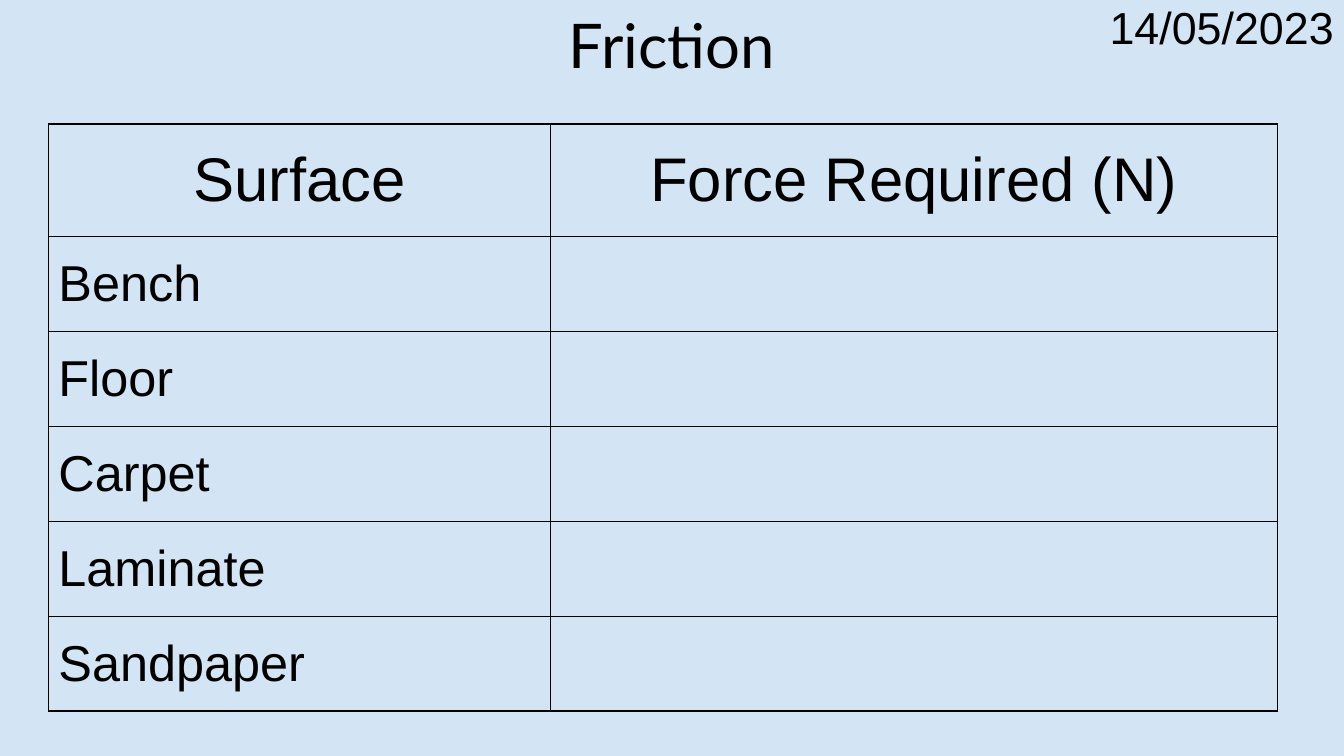
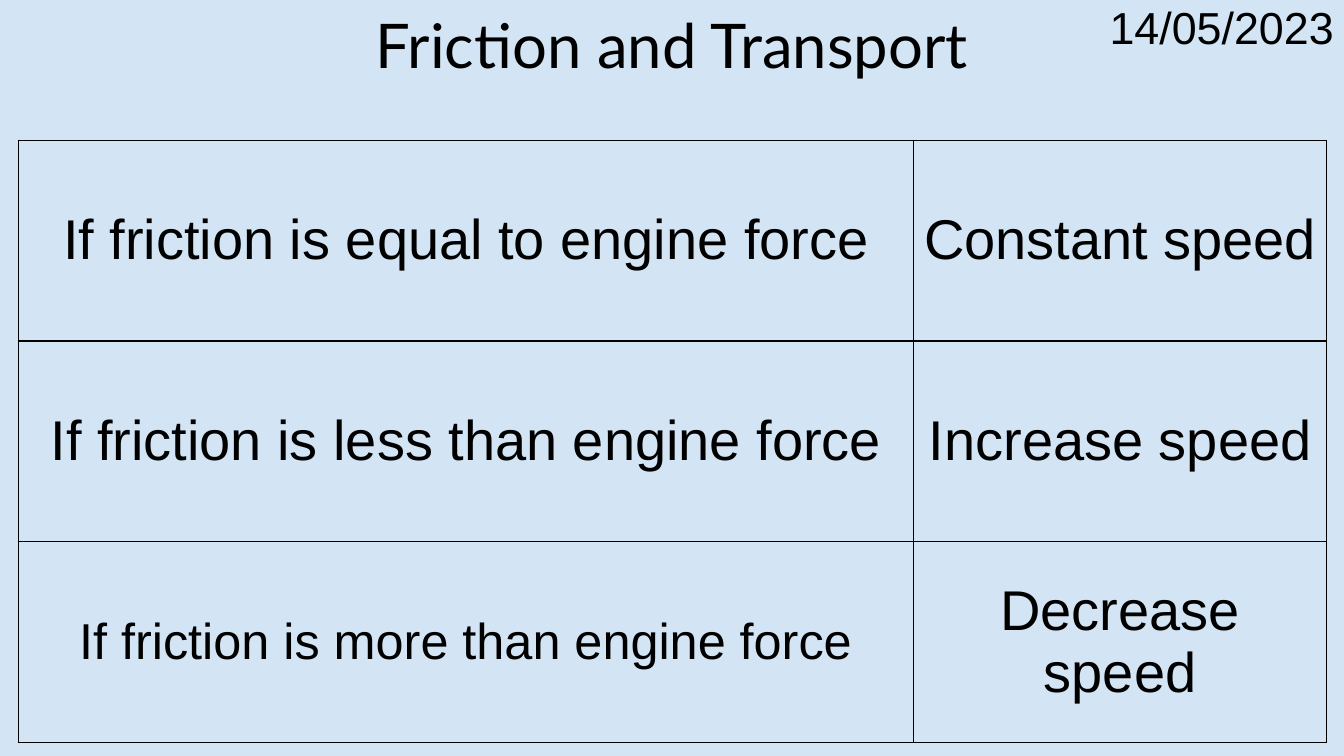
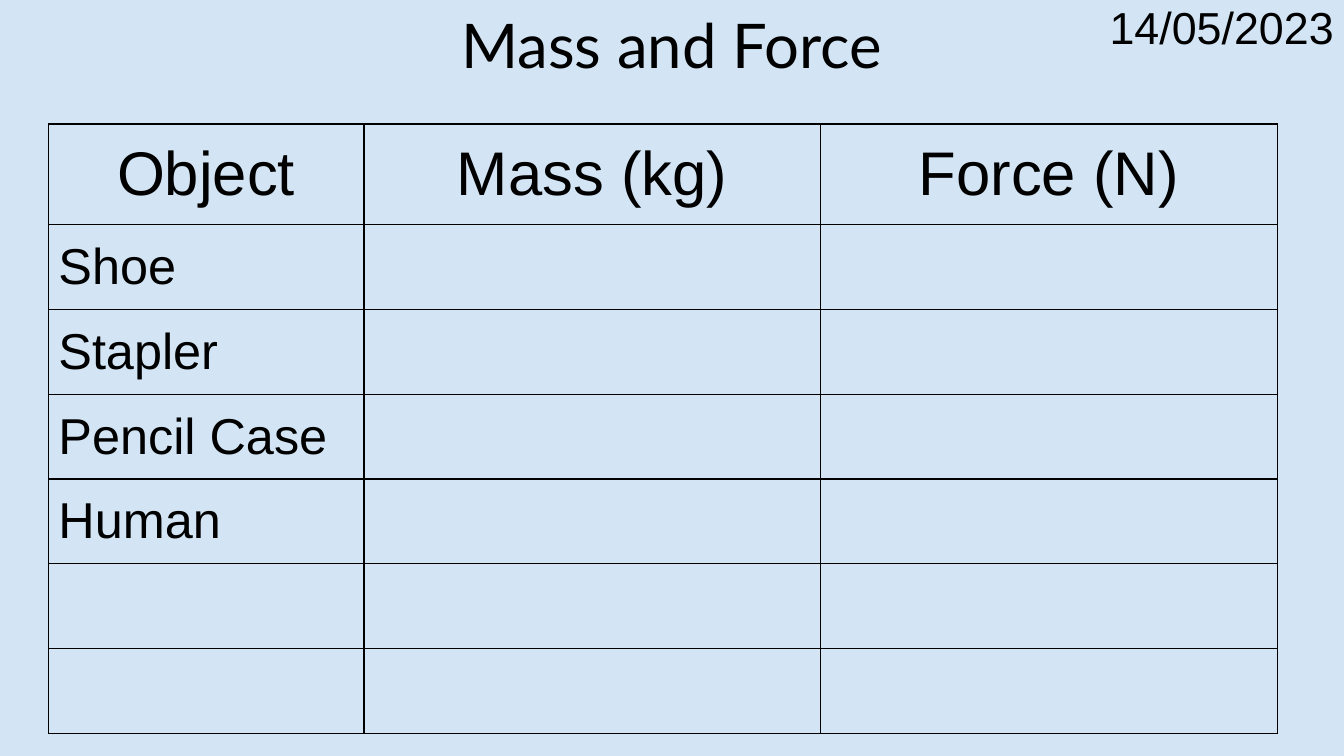
from dataclasses import dataclass

import pptx
import pptx.dml.color
import pptx.enum.text
import pptx.oxml
import pptx.oxml.ns
import pptx.presentation
import pptx.slide
import pptx.table
import pptx.util

Pt = pptx.util.Pt
Align = pptx.enum.text.PP_ALIGN
Anchor = pptx.enum.text.MSO_ANCHOR
AutoSize = pptx.enum.text.MSO_AUTO_SIZE


@dataclass(frozen=True)
class Theme:
    background: str = "D3E5F4"
    ink: str = "000000"
    title_font: str = "Lato"
    body_font: str = "Arial"
    title_size: float = 44
    date_size: float = 32
    heading_size: float = 44
    statement_size: float = 40
    entry_size: float = 36
    thin_line: float = 1
    thick_line: float = 2


THEME = Theme()
SLIDE_WIDTH, SLIDE_HEIGHT = 960, 540
LESSON_DATE = "14/05/2023"


@dataclass(frozen=True)
class Entry:
    text: str = ""
    size: float = THEME.entry_size
    align: Align = Align.LEFT


@dataclass(frozen=True)
class Lesson:
    title: str
    left: float
    top: float
    columns: tuple[float, ...]
    row_heights: tuple[float, ...]
    rows: tuple[tuple[Entry, ...], ...]
    thick_rule_after: int | None = None


def heading(text: str) -> Entry:
    return Entry(text, THEME.heading_size, Align.CENTER)


def statement(text: str, size: float = THEME.statement_size) -> Entry:
    return Entry(text, size, Align.CENTER)


def worksheet(title: str, headings: tuple[str, ...], labels: tuple[str, ...],
              columns: tuple[float, ...], heading_height: float, label_height: float) -> Lesson:
    blanks = (Entry(),) * (len(headings) - 1)
    return Lesson(
        title, 34.56, 88.56, columns,
        (heading_height,) + (label_height,) * len(labels),
        (tuple(map(heading, headings)),) + tuple((Entry(label),) + blanks for label in labels),
    )


LESSONS = (
    worksheet("Friction", ("Surface", "Force Required (N)"),
              ("Bench", "Floor", "Carpet", "Laminate", "Sandpaper"),
              (358.9, 518.9), 80.64, 67.75),
    Lesson(
        "Friction and Transport", 12.96, 100.08, (639.5, 295.2), (143.5,) * 3,
        (
            (statement("If friction is equal to engine force"), statement("Constant speed")),
            (statement("If friction is less than engine force"), statement("Increase speed")),
            (statement("If friction is more than engine force", THEME.entry_size),
             statement("Decrease speed")),
        ),
        thick_rule_after=0,
    ),
    worksheet("Mass and Force", ("Object", "Mass (kg)", "Force (N)"),
              ("Shoe", "Stapler", "Pencil Case", "Human", "", ""),
              (225.4, 326.2, 326.2), 72, 60.55),
)


def style_text(frame: pptx.text.text.TextFrame, text: str, font_name: str,
               size: float, align: Align) -> None:
    frame.text = text
    paragraph = frame.paragraphs[0]
    paragraph.alignment = align
    paragraph.font.name = font_name
    paragraph.font.size = Pt(size)
    paragraph.font.color.rgb = pptx.dml.color.RGBColor.from_string(THEME.ink)


def draw_title(slide: pptx.slide.Slide, text: str) -> None:
    title = slide.shapes.title
    title.left, title.top, title.width, title.height = Pt(0), Pt(0.7), Pt(SLIDE_WIDTH), Pt(68.4)
    style_text(title.text_frame, text, THEME.title_font, THEME.title_size, Align.CENTER)
    title.text_frame.auto_size = AutoSize.NONE
    title.text_frame.vertical_anchor = Anchor.MIDDLE
    title.text_frame.paragraphs[0].line_spacing = 0.9


def draw_date(slide: pptx.slide.Slide) -> None:
    date = slide.shapes.add_textbox(Pt(712.5), Pt(-3.6), Pt(247.5), Pt(46))
    date.text_frame.word_wrap = True
    style_text(date.text_frame, LESSON_DATE, THEME.body_font, THEME.date_size, Align.RIGHT)


def set_borders(cell: pptx.table._Cell, top: float, bottom: float) -> None:
    properties = cell._tc.get_or_add_tcPr()
    widths = {"L": THEME.thin_line, "R": THEME.thin_line, "T": top, "B": bottom}
    for side, width in widths.items():
        properties.append(pptx.oxml.parse_xml(
            f'<a:ln{side} {pptx.oxml.ns.nsdecls("a")} w="{Pt(width)}">'
            f'<a:solidFill><a:srgbClr val="{THEME.ink}"/></a:solidFill></a:ln{side}>'
        ))


def rule_width(lesson: Lesson, row_above: int) -> float:
    return THEME.thick_line if row_above == lesson.thick_rule_after else THEME.thin_line


def draw_table(slide: pptx.slide.Slide, lesson: Lesson) -> None:
    table = slide.shapes.add_table(
        len(lesson.rows), len(lesson.columns), Pt(lesson.left), Pt(lesson.top),
        Pt(sum(lesson.columns)), Pt(sum(lesson.row_heights)),
    ).table
    table.first_row = False
    table.horz_banding = False
    for column, width in zip(table.columns, lesson.columns):
        column.width = Pt(width)
    for row, height in zip(table.rows, lesson.row_heights):
        row.height = Pt(height)
    for row_index, entries in enumerate(lesson.rows):
        for column_index, entry in enumerate(entries):
            cell = table.cell(row_index, column_index)
            set_borders(cell, rule_width(lesson, row_index - 1), rule_width(lesson, row_index))
            cell.fill.background()
            cell.vertical_anchor = Anchor.MIDDLE
            style_text(cell.text_frame, entry.text, THEME.body_font, entry.size, entry.align)


def draw_lesson(deck: pptx.presentation.Presentation, lesson: Lesson) -> None:
    slide = deck.slides.add_slide(deck.slide_layouts.get_by_name("Title Only"))
    draw_date(slide)
    draw_title(slide, lesson.title)
    draw_table(slide, lesson)


def main() -> None:
    deck = pptx.Presentation()
    deck.slide_width, deck.slide_height = Pt(SLIDE_WIDTH), Pt(SLIDE_HEIGHT)
    backdrop = deck.slide_master.background.fill
    backdrop.solid()
    backdrop.fore_color.rgb = pptx.dml.color.RGBColor.from_string(THEME.background)
    for lesson in LESSONS:
        draw_lesson(deck, lesson)
    deck.save("out.pptx")


if __name__ == "__main__":
    main()
